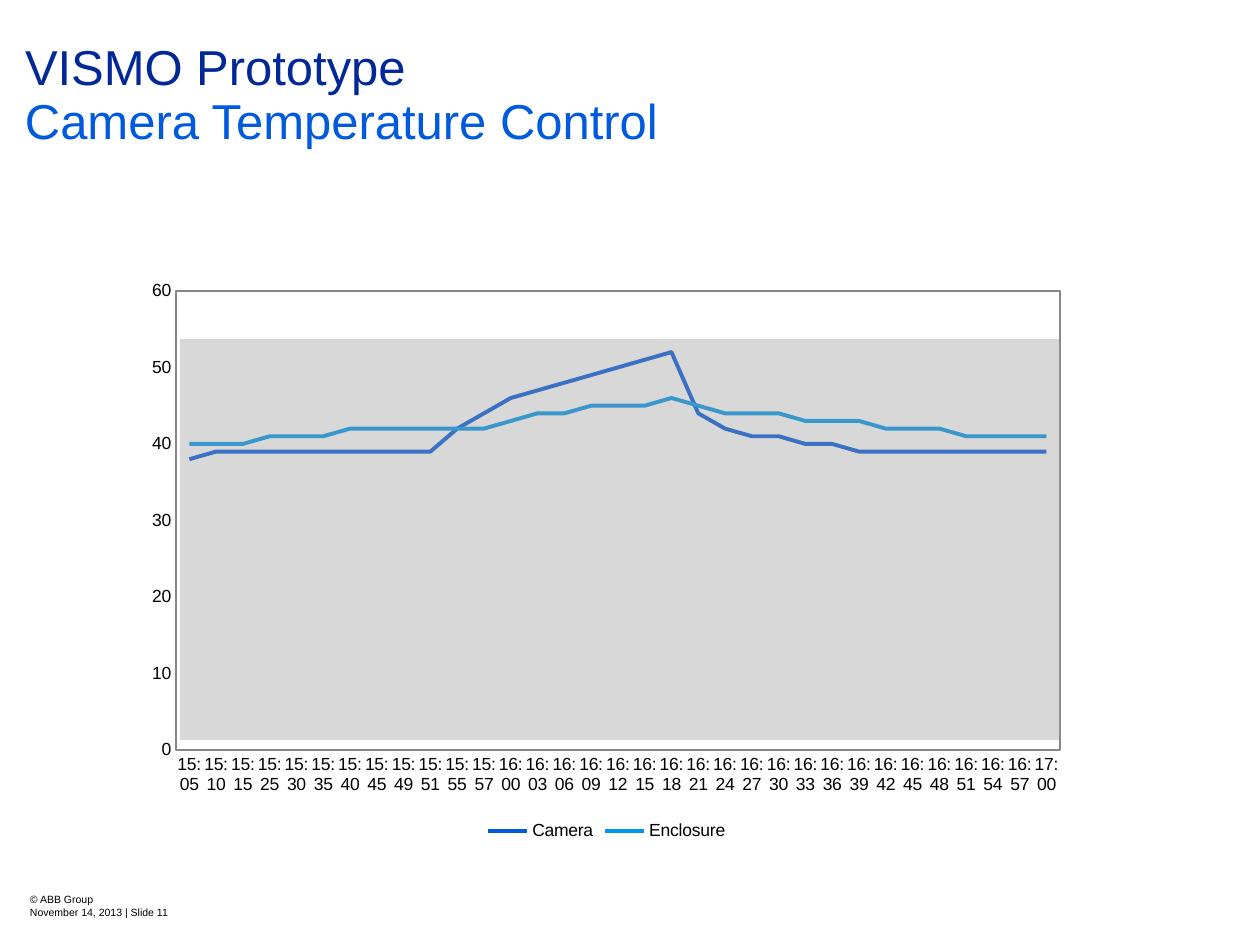
"""Build the camera temperature control slide with its line chart."""
from lxml.etree import SubElement
from pptx import Presentation
from pptx.chart.data import CategoryChartData as ChartData
from pptx.dml.color import RGBColor
from pptx.enum.chart import XL_CHART_TYPE as Kind, XL_LEGEND_POSITION as Spot
from pptx.enum.chart import XL_TICK_MARK as Tick
from pptx.enum.shapes import MSO_SHAPE as Shape
from pptx.enum.text import MSO_ANCHOR as Anchor
from pptx.oxml import parse_xml
from pptx.oxml.ns import nsdecls, qn
from pptx.util import Pt

SCALE = 914400 / 126
FONT = "Arial"
TIMES = [f"15:{m:02}" for m in (5, 10, 15, 25, 30, 35, 40, 45, 49, 51, 55, 57)]
TIMES += [f"{16 + m // 60}:{m % 60:02}" for m in range(0, 61, 3)]
CAMERA = [38] + [39] * 9 + [42, 44, 46, 47, 48, 49, 50, 51, 52, 44, 42, 41, 41, 40, 40] + [39] * 8
SHELL = [40] * 3 + [41] * 3 + [42] * 6 + [43, 44, 44, 45, 45, 45, 46, 45]
SHELL += [44] * 3 + [43] * 3 + [42] * 3 + [41] * 4
SERIES = [("Camera", CAMERA, "005ADE"), ("Enclosure", SHELL, "0096EA")]


def px(n):
    """Turn px into EMU."""
    return round(n * SCALE)


def rgb(code):
    """Turn a hex string into a colour."""
    return RGBColor.from_string(code)


def add_text(slide, box, pad, lines, size, color, anchor=Anchor.TOP, space=1.0):
    """Add a text box with one paragraph per line."""
    frame = slide.shapes.add_textbox(*map(px, box)).text_frame
    frame.word_wrap = True
    frame.vertical_anchor = anchor
    frame.margin_left, frame.margin_top, frame.margin_right, frame.margin_bottom = map(px, pad)
    frame.text = "\n".join(lines)
    for para in frame.paragraphs:
        para.line_spacing = space
        for run in para.runs:
            run.font.name, run.font.size = FONT, Pt(size)
            run.font.color.rgb = rgb(color)


def style_axis(axis):
    """Give an axis a thin grey line without ticks or grid."""
    axis.has_major_gridlines = False
    axis.major_tick_mark = axis.minor_tick_mark = Tick.NONE
    axis.format.line.color.rgb = rgb("868686")
    axis.format.line.width = Pt(0.75)


def place_plot(chart, box, area):
    """Fix the inner plot area inside the chart box and frame it."""
    plot = chart.element.find(".//" + qn("c:plotArea"))
    old = plot.find(qn("c:layout"))
    if old is not None:
        plot.remove(old)
    layout = parse_xml(f"<c:layout {nsdecls('c')}/>")
    plot.insert(0, layout)
    manual = SubElement(layout, qn("c:manualLayout"))
    x, y, w, h = area
    parts = {"x": (x - box[0]) / box[2], "y": (y - box[1]) / box[3],
             "w": w / box[2], "h": h / box[3]}
    tags = {"layoutTarget": "inner", "xMode": "edge", "yMode": "edge", **parts}
    for tag, val in tags.items():
        SubElement(manual, qn("c:" + tag)).set("val", str(val))
    plot.append(parse_xml(
        f'<c:spPr {nsdecls("c", "a")}><a:noFill/><a:ln w="9525"><a:solidFill>'
        '<a:srgbClr val="868686"/></a:solidFill></a:ln></c:spPr>'))


def add_lines(slide, box, area):
    """Add the line chart of both temperatures."""
    data = ChartData()
    data.categories = TIMES
    for name, vals, _ in SERIES:
        data.add_series(name, vals)
    chart = slide.shapes.add_chart(Kind.LINE, *map(px, box), data).chart
    chart.font.name, chart.font.size = FONT, Pt(10)
    chart.font.color.rgb = rgb("000000")
    chart.has_title = False
    chart.has_legend = True
    chart.legend.position = Spot.BOTTOM
    chart.legend.include_in_layout = False
    chart.plots[0].vary_by_categories = False
    for line, (_, _, color) in zip(chart.plots[0].series, SERIES):
        line.smooth = False
        line.format.line.color.rgb = rgb(color)
        line.format.line.width = Pt(2.25)
    for axis in (chart.category_axis, chart.value_axis):
        style_axis(axis)
    scale = chart.value_axis
    scale.minimum_scale, scale.maximum_scale, scale.major_unit = 0, 60, 10
    chart.category_axis.tick_labels.font.size = Pt(10)
    body = chart.category_axis._element.find(qn("c:txPr")).find(qn("a:bodyPr"))
    body.set("rot", "0")
    body.set("vert", "horz")
    place_plot(chart, box, area)


def add_veil(slide, box, color, alpha):
    """Add a see-through rectangle without outline."""
    veil = slide.shapes.add_shape(Shape.RECTANGLE, *map(px, box))
    veil.shadow.inherit = False
    veil.fill.solid()
    veil.fill.fore_color.rgb = rgb(color)
    veil.line.fill.background()
    tint = veil._element.spPr.find(qn("a:solidFill"))[0]
    SubElement(tint, qn("a:alpha")).set("val", str(alpha * 1000))


def main():
    """Build and save the slide."""
    deck = Presentation()
    deck.slide_width, deck.slide_height = px(1260), px(945)
    slide = deck.slides.add_slide(deck.slide_layouts[6])
    add_text(slide, (30, 854, 328, 91), (0, 0, 0, 28),
             ["© ABB Group", "November 14, 2013 | Slide 11"], 6, "000000", Anchor.BOTTOM)
    add_text(slide, (0, 0, 1230, 155), (25, 43, 30, 0),
             ["VISMO Prototype"], 28, "002897", space=0.9)
    add_text(slide, (0, 91, 1260, 64), (25, 0, 30, 0),
             ["Camera Temperature Control"], 28, "005ADE")
    add_lines(slide, (134, 270, 945, 576), (176, 291, 884, 459))
    add_veil(slide, (180, 339, 881, 401), "999999", 38)
    deck.save("out.pptx")


if __name__ == "__main__":
    main()
